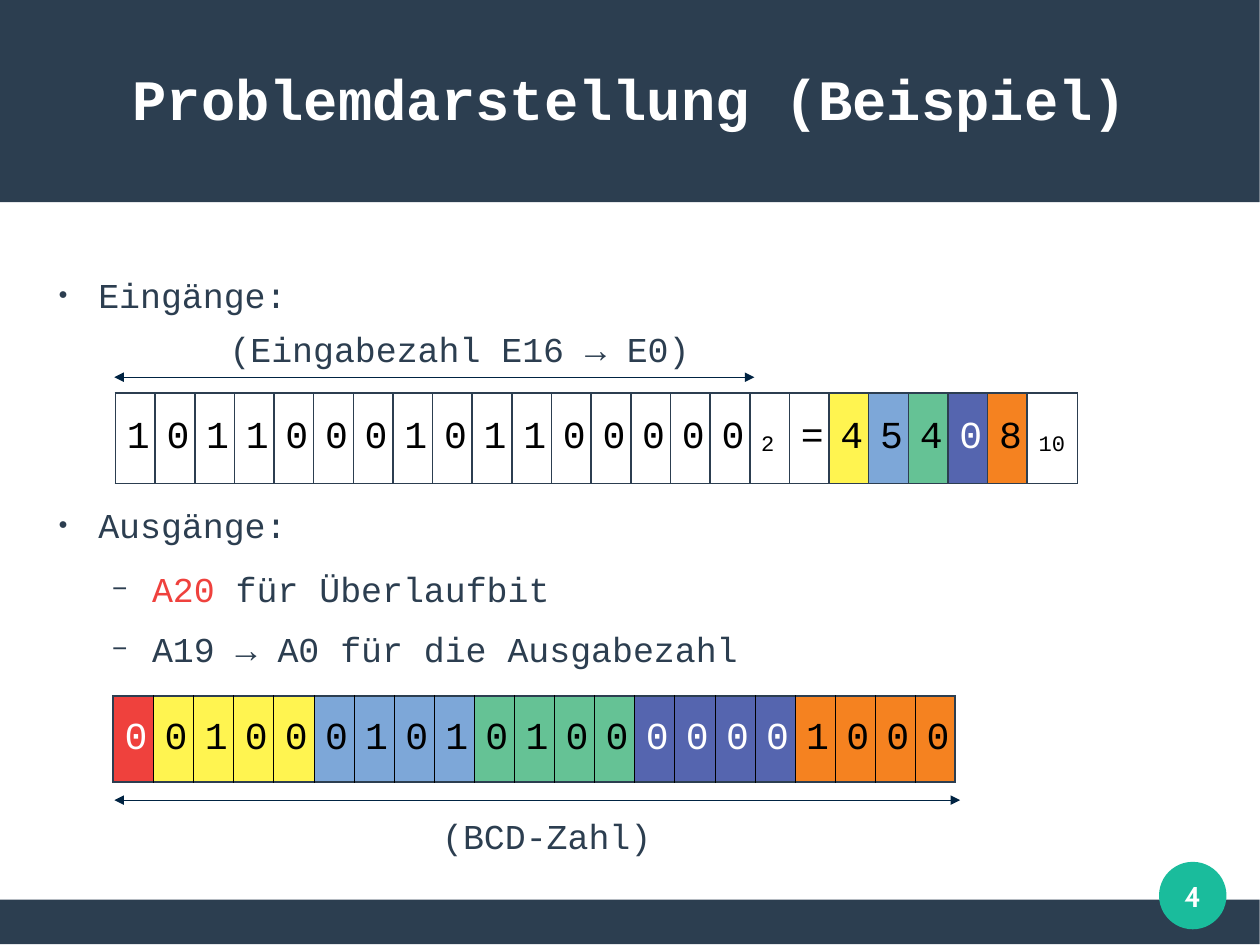
"""Build a slide that shows a binary input beside its BCD output."""
import lxml.etree
import pptx
import pptx.dml.color
import pptx.enum.shapes
import pptx.enum.text
import pptx.oxml.ns
import pptx.util

Inches, Pt, Cm = pptx.util.Inches, pptx.util.Pt, pptx.util.Cm
Color = pptx.dml.color.RGBColor.from_string
Kind = pptx.enum.shapes.MSO_SHAPE
Anchor = pptx.enum.text.MSO_ANCHOR
Fit = pptx.enum.text.MSO_AUTO_SIZE
CENTER = pptx.enum.text.PP_ALIGN.CENTER
qn = pptx.oxml.ns.qn

THEME = {
    "color": {
        "navy": "2C3E50", "teal": "1ABC9C", "white": "FFFFFF",
        "black": "000000", "arrow": "002342", "red": "EF413D",
        "yellow": "FFF450", "blue": "7DA7D8", "green": "65C295",
        "indigo": "5565AF", "orange": "F58220",
    },
    "size": {"title": 36, "body": 22, "digit": 24, "page": 18},
    "font": {"mono": "Courier New", "page": "Cabin"},
    "edge": {"bold": ("navy", 1.13), "thin": ("black", 0.06)},
}
LIGHT = {"red", "indigo"}

SIZE = {"slide_width": Cm(28), "slide_height": Cm(21)}
TITLE = "Problemdarstellung (Beispiel)"
PAGE = "4"
BANDS = [
    (Kind.RECTANGLE, "navy", (0, 7.87, 11.02, 0.39)),
    (Kind.RECTANGLE, "navy", (0, 0, 11.02, 1.77)),
    (Kind.OVAL, "teal", (10.14, 7.54, 0.59, 0.59)),
]
LEVELS = [
    {"mark": "●", "scale": 45, "left": 0.47, "after": 14.1},
    {"mark": "−", "scale": 75, "left": 0.94, "after": 11.3},
]
ITEMS = [
    (0, 0, [("Eingänge:", "navy")]),
    (0, 104.4, [("Ausgänge:", "navy")]),
    (1, 0, [("A20", "red"), (" für Überlaufbit", "navy")]),
    (1, 0, [("A19 → A0 für die Ausgabezahl", "navy")]),
]
TABLES = [
    {"box": (0.99, 6.09, 7.37, 0.75), "last": 0.35, "seam": "thin",
     "parts": [("0", "red"), ("0100", "yellow"), ("0101", "blue"),
               ("0100", "green"), ("0000", "indigo"), ("1000", "orange")]},
    {"box": (1.01, 3.44, 8.42, 0.79), "last": 0.44, "seam": "bold",
     "parts": [("1011000101100000", "white"), (["2"], "white"),
               ("=", "white"), ("4", "yellow"), ("5", "blue"),
               ("4", "green"), ("0", "indigo"), ("8", "orange"),
               (["10"], "white")]},
]
ARROWS = [(1, 8.4, 7), (1, 6.6, 3.3)]
LABELS = [
    ("(BCD-Zahl)", (3.77, 7.08, 2.03, 0.48)),
    ("(Eingabezahl E16 → E0)", (1.91, 2.82, 4.24, 0.48)),
]


def apply(item, vals):
    for name, val in vals.items():
        setattr(item, name, val)


def paint(fill, name):
    fill.solid()
    fill.fore_color.rgb = Color(THEME["color"][name])


def place(shape, box):
    apply(shape, dict(zip(("left", "top", "width", "height"), map(Inches, box))))


def write(para, text, size, color, face="mono", bold=False):
    run = para.add_run()
    run.text = text
    apply(run.font, {"name": THEME["font"][face], "bold": bold,
                     "size": Pt(THEME["size"][size])})
    run.font.color.rgb = Color(THEME["color"][color])
    return run


def trim(frame, anchor):
    sides = ("margin_left", "margin_top", "margin_right", "margin_bottom")
    apply(frame, {**dict.fromkeys(sides, 0), "auto_size": Fit.NONE,
                  "word_wrap": True, "vertical_anchor": anchor})


def node(base, tag, **vals):
    return lxml.etree.SubElement(base, qn(tag), vals)


def mark(para, level):
    prop = para._p.get_or_add_pPr()
    prop.set("marL", str(Inches(level["left"])))
    prop.set("indent", str(Inches(-0.35)))
    node(node(prop, "a:buClr"), "a:srgbClr", val=THEME["color"]["navy"])
    node(prop, "a:buSzPct", val=str(level["scale"] * 1000))
    node(prop, "a:buFont", typeface="Arial")
    node(prop, "a:buChar", char=level["mark"])


def rule(cell, side, edge):
    color, width = THEME["edge"][edge]
    line = node(cell._tc.get_or_add_tcPr(), "a:ln" + side, w=str(Pt(width)))
    node(node(line, "a:solidFill"), "a:srgbClr", val=THEME["color"][color])


def fill_list(body):
    place(body, (0.39, 2.39, 10.24, 5.51))
    frame = body.text_frame
    trim(frame, Anchor.TOP)
    for i, (depth, gap, runs) in enumerate(ITEMS):
        para = frame.add_paragraph() if i else frame.paragraphs[0]
        level = LEVELS[depth]
        mark(para, level)
        apply(para, {"level": depth, "line_spacing": Pt(26.5),
                     "space_before": Pt(gap), "space_after": Pt(level["after"])})
        for text, color in runs:
            write(para, text, "body", color)


def add_bits(shapes, box, last, seam, parts):
    bits = [(text, color, isinstance(group, list))
            for group, color in parts for text in group]
    count = len(bits)
    table = shapes.add_table(1, count, *map(Inches, box)).table
    apply(table, {"first_row": False, "horz_banding": False})
    step = (box[2] - last) / (count - 1)
    for i, (text, color, low) in enumerate(bits):
        table.columns[i].width = Inches(last if i == count - 1 else step)
        cell = table.cell(0, i)
        cell.vertical_anchor = Anchor.MIDDLE
        inner = i and color != "white"
        rule(cell, "L", "thin" if inner else "bold")
        rule(cell, "R", seam if i < count - 1 else "bold")
        rule(cell, "T", "bold")
        rule(cell, "B", "bold")
        paint(cell.fill, color)
        ink = "white" if color in LIGHT else "black"
        run = write(cell.text_frame.paragraphs[0], text, "digit", ink)
        if low:
            run._r.get_or_add_rPr().set("baseline", "-8000")


def add_arrow(shapes, start, end, y):
    line = shapes.add_connector(pptx.enum.shapes.MSO_CONNECTOR.STRAIGHT,
                                *map(Inches, (start, y, end, y)))
    paint(line.line.fill, "arrow")
    prop = line.line._get_or_add_ln()
    prop.attrib["w"] = "0"
    node(prop, "a:headEnd", type="triangle")
    node(prop, "a:tailEnd", type="triangle")
    node(line._element.spPr, "a:effectLst")


def main():
    deck = pptx.Presentation()
    apply(deck, SIZE)
    slide = deck.slides.add_slide(deck.slide_layouts[1])
    shapes, title = slide.shapes, slide.shapes.title
    for kind, color, box in BANDS:
        band = shapes.add_shape(kind, *map(Inches, box))
        band.shadow.inherit = False
        paint(band.fill, color)
        band.line.fill.background()
        title.element.addprevious(band.element)
    place(title, (0.39, 0.33, 10.24, 1.05))
    trim(title.text_frame, Anchor.MIDDLE)
    head = title.text_frame.paragraphs[0]
    head.alignment = CENTER
    write(head, TITLE, "title", "white", bold=True)
    fill_list(slide.placeholders[1])
    for row in TABLES:
        add_bits(shapes, **row)
    for ends in ARROWS:
        add_arrow(shapes, *ends)
    for text, box in LABELS:
        frame = shapes.add_textbox(*map(Inches, box)).text_frame
        apply(frame, {"word_wrap": False, "auto_size": Fit.SHAPE_TO_FIT_TEXT})
        write(frame.paragraphs[0], text, "body", "navy")
    frame = shapes.add_textbox(*map(Inches, (10.04, 7.44, 0.79, 0.79))).text_frame
    trim(frame, Anchor.MIDDLE)
    frame.paragraphs[0].alignment = CENTER
    write(frame.paragraphs[0], PAGE, "page", "white", "page", True)
    deck.save("out.pptx")


if __name__ == "__main__":
    main()
